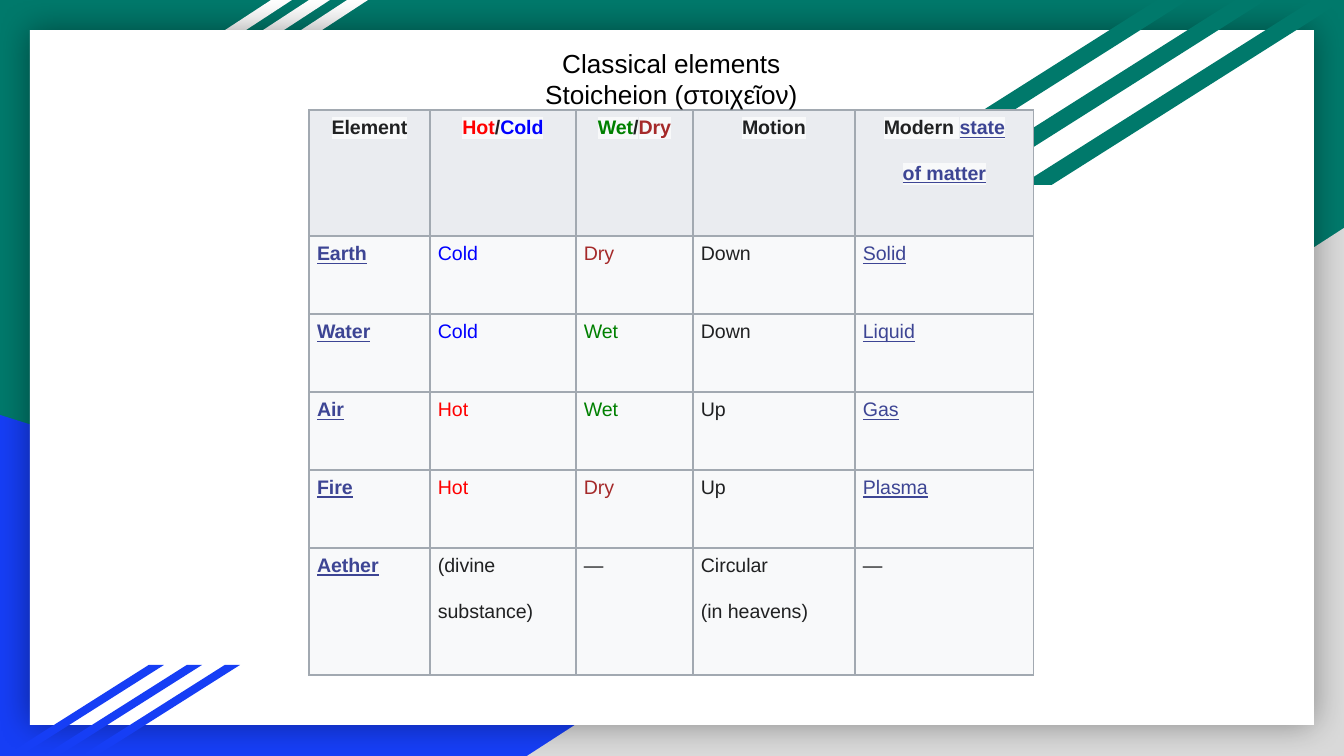
"""Build the classical elements slide with its framed background and table."""
from lxml.etree import SubElement
from pptx import Presentation
from pptx.dml.color import RGBColor
from pptx.enum.shapes import MSO_SHAPE as Shape
from pptx.enum.text import MSO_ANCHOR as Anchor, MSO_AUTO_SIZE as AutoSize, PP_ALIGN as Align
from pptx.oxml import parse_xml
from pptx.oxml.ns import nsdecls, qn
from pptx.util import Pt

SCALE = 914400 / 134.4
GREEN, BLUE, GREY, WHITE = "00796B", "163EF5", "D9D9D9", "FFFFFF"
INK, LINK, RED, COLD_BLUE, WET_GREEN, BROWN = "202122", "3D4594", "FF0000", "0000FF", "008000", "A52A2A"
BORDER, HEADER_FILL, BODY_FILL = "A2A9B1", "EAECF0", "F8F9FA"


def px(*lengths):
    return [round(length * SCALE) for length in lengths]


def paint(fill, color):
    fill.solid()
    fill.fore_color.rgb = RGBColor.from_string(color)


presentation = Presentation()
presentation.slide_width, presentation.slide_height = px(1344, 756)
slide = presentation.slides.add_slide(presentation.slide_layouts[5])
paint(slide.background.fill, GREEN)

panel_place = (30, 30, 1284, 695)
background = [
    (Shape.RIGHT_TRIANGLE, BLUE, None, [(0, 415, 1083, 341)]),
    (Shape.RIGHT_TRIANGLE, GREY, None, [(527, 228, 817, 528)]),
    (Shape.PARALLELOGRAM, WHITE, 1.53, [(x, 0, 255, 153) for x in (113, 75, 37)]),
    (Shape.RECTANGLE, WHITE, None, [panel_place]),
    (Shape.PARALLELOGRAM, BLUE, 1.58, [(x, 665, 159, 91) for x in (81, 43, 5)]),
    (Shape.PARALLELOGRAM, GREEN, 1.58, [(x, 0, 323, 185) for x in (1021, 943, 865)]),
]
for preset, color, slant, places in background:
    shapes = slide.shapes.add_group_shape().shapes if slant else slide.shapes
    for place in places:
        shape = shapes.add_shape(preset, *px(*place))
        paint(shape.fill, color)
        shape.line.fill.background()
        shape.shadow.inherit = False
        if slant:
            shape.adjustments[0] = slant
        if color == GREY:
            shape.element.spPr.find(qn("a:xfrm")).set("flipH", "1")
        if place == panel_place:
            effects = shape.element.spPr.find(qn("a:effectLst"))
            effects.append(parse_xml(
                f'<a:outerShdw {nsdecls("a")} blurRad="{Pt(18)}" dist="0" dir="0" algn="ctr" rotWithShape="0">'
                '<a:srgbClr val="000000"><a:alpha val="40000"/></a:srgbClr></a:outerShdw>'))

rows = [
    ["Element", "Hot|/|Cold", "Wet|/|Dry", "Motion", "Modern |state\nof matter"],
    ["Earth", "Cold", "Dry", "Down", "Solid"],
    ["Water", "Cold", "Wet", "Down", "Liquid"],
    ["Air", "Hot", "Wet", "Up", "Gas"],
    ["Fire", "Hot", "Dry", "Up", "Plasma"],
    ["Aether", "(divine\nsubstance)", "—", "Circular\n(in heavens)", "—"],
]
word_colors = {"Hot": RED, "Cold": COLD_BLUE, "Wet": WET_GREEN, "Dry": BROWN}
links = ["state", "of matter", "Earth", "Water", "Air", "Fire", "Aether", "Solid", "Liquid", "Gas", "Plasma"]
word_colors.update(dict.fromkeys(links, LINK))
column_widths = px(121, 146, 117, 162, 179)
row_heights = px(126, 78, 78, 78, 78, 127)

left, top = px(309, 110)
table = slide.shapes.add_table(
    len(rows), len(column_widths), left, top, sum(column_widths), sum(row_heights)).table
table.first_row = table.horz_banding = False
for column, width in zip(table.columns, column_widths):
    column.width = width
for row, height in zip(table.rows, row_heights):
    row.height = height

for row_index, texts in enumerate(rows):
    for column_index, text in enumerate(texts):
        is_header = row_index == 0
        cell = table.cell(row_index, column_index)
        cell.margin_left, cell.margin_right, cell.margin_top, cell.margin_bottom = px(8, 8, 4, 4)
        paint(cell.fill, HEADER_FILL if is_header else BODY_FILL)
        for position, side in enumerate(("lnL", "lnR", "lnT", "lnB")):
            cell.fill._xPr.insert(position, parse_xml(
                f'<a:{side} {nsdecls("a")} w="{Pt(0.75)}"><a:solidFill>'
                f'<a:srgbClr val="{BORDER}"/></a:solidFill></a:{side}>'))

        lines = text.split("\n")
        for line_index, line in enumerate(lines):
            paragraph = cell.text_frame.paragraphs[0] if line_index == 0 else cell.text_frame.add_paragraph()
            paragraph.alignment = Align.CENTER if is_header else Align.LEFT
            paragraph.line_spacing = 1.15
            paragraph.space_before = Pt(11 if line_index else 0)
            paragraph.space_after = Pt(11 if line_index == len(lines) - 1 else 0)
            paragraph.font.name, paragraph.font.size = "Arial", Pt(10.5)
            paragraph.font.bold = is_header or column_index == 0
            for word in line.split("|"):
                run = paragraph.add_run()
                run.text = word
                paint(run.font.fill, word_colors.get(word, INK))
                run.font.underline = word in links
                highlight = SubElement(run.font._element, qn("a:highlight"))
                SubElement(highlight, qn("a:srgbClr"), val=BODY_FILL)

title = slide.shapes.title
title.element.getparent().append(title.element)
title.left, title.top, title.width, title.height = px(451, 34, 441, 90)
frame = title.text_frame
frame.word_wrap = True
frame.auto_size = AutoSize.NONE
frame.vertical_anchor = Anchor.TOP
frame.margin_left = frame.margin_right = frame.margin_top = frame.margin_bottom = px(13)[0]
frame.text = "Classical elements\nStoicheion (στοιχεῖον)"
for paragraph in frame.paragraphs:
    paragraph.alignment = Align.CENTER
    paragraph.space_before = Pt(0)
    paragraph.font.name, paragraph.font.size = "Arial", Pt(14)
    paint(paragraph.font.fill, "000000")

presentation.save("out.pptx")
